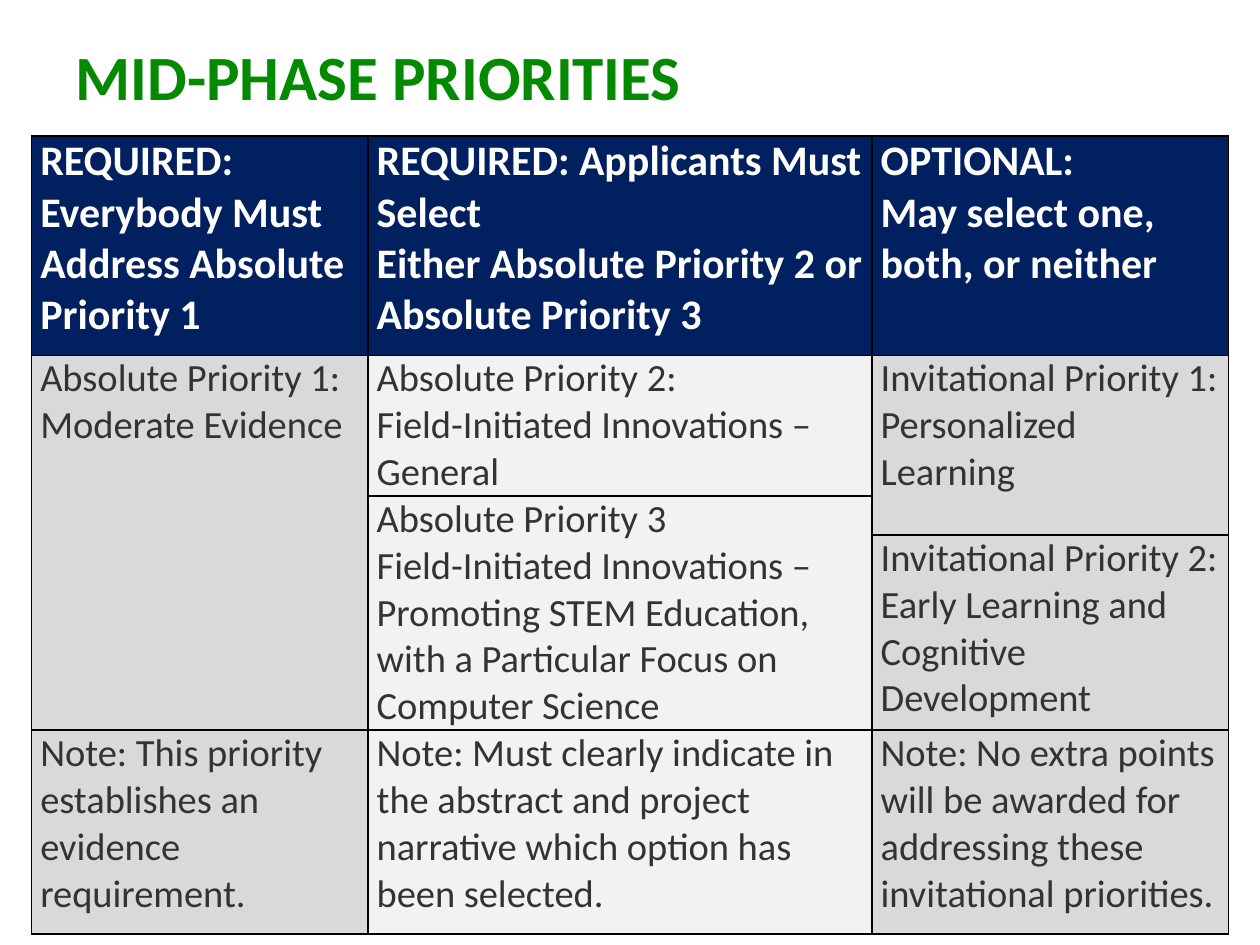
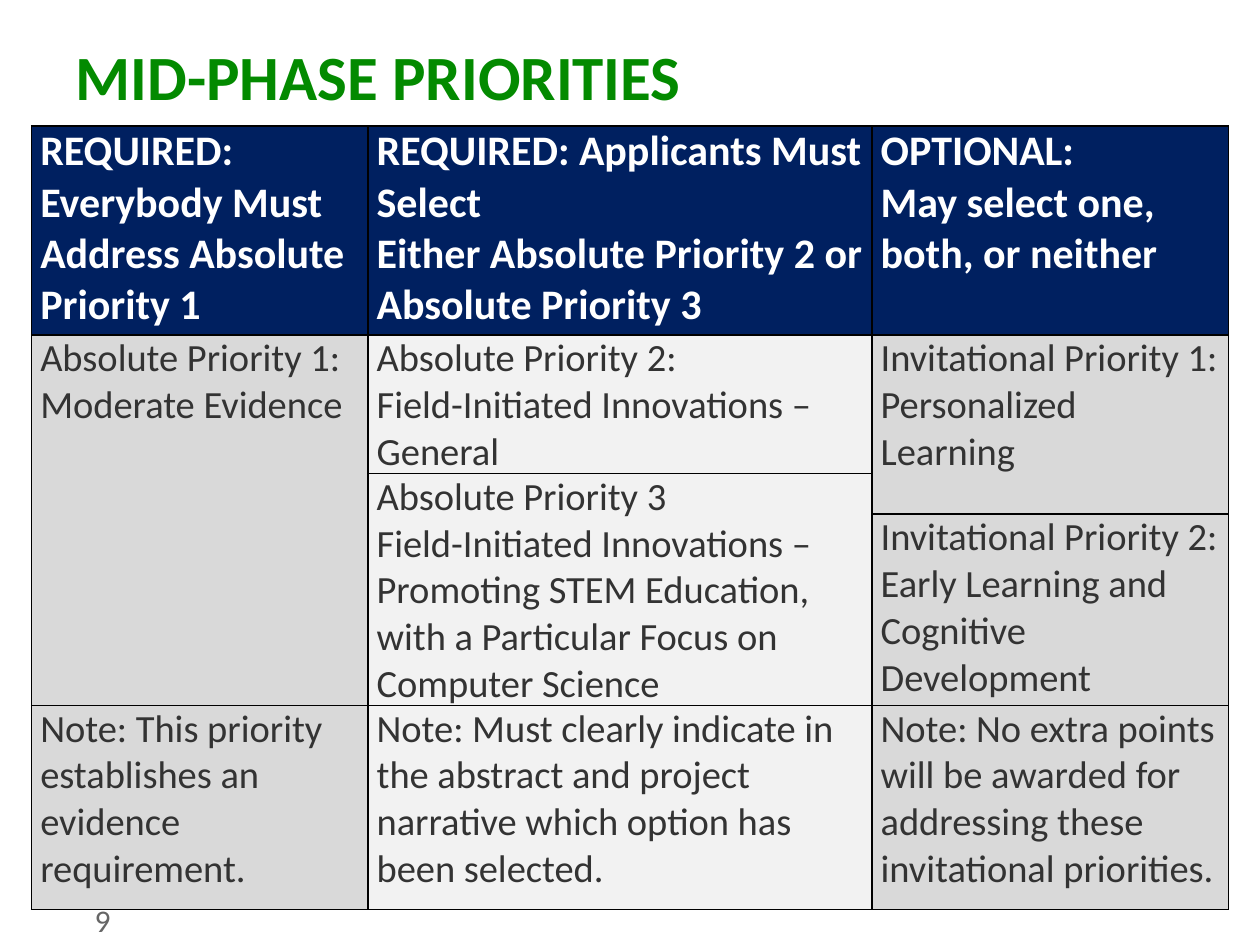
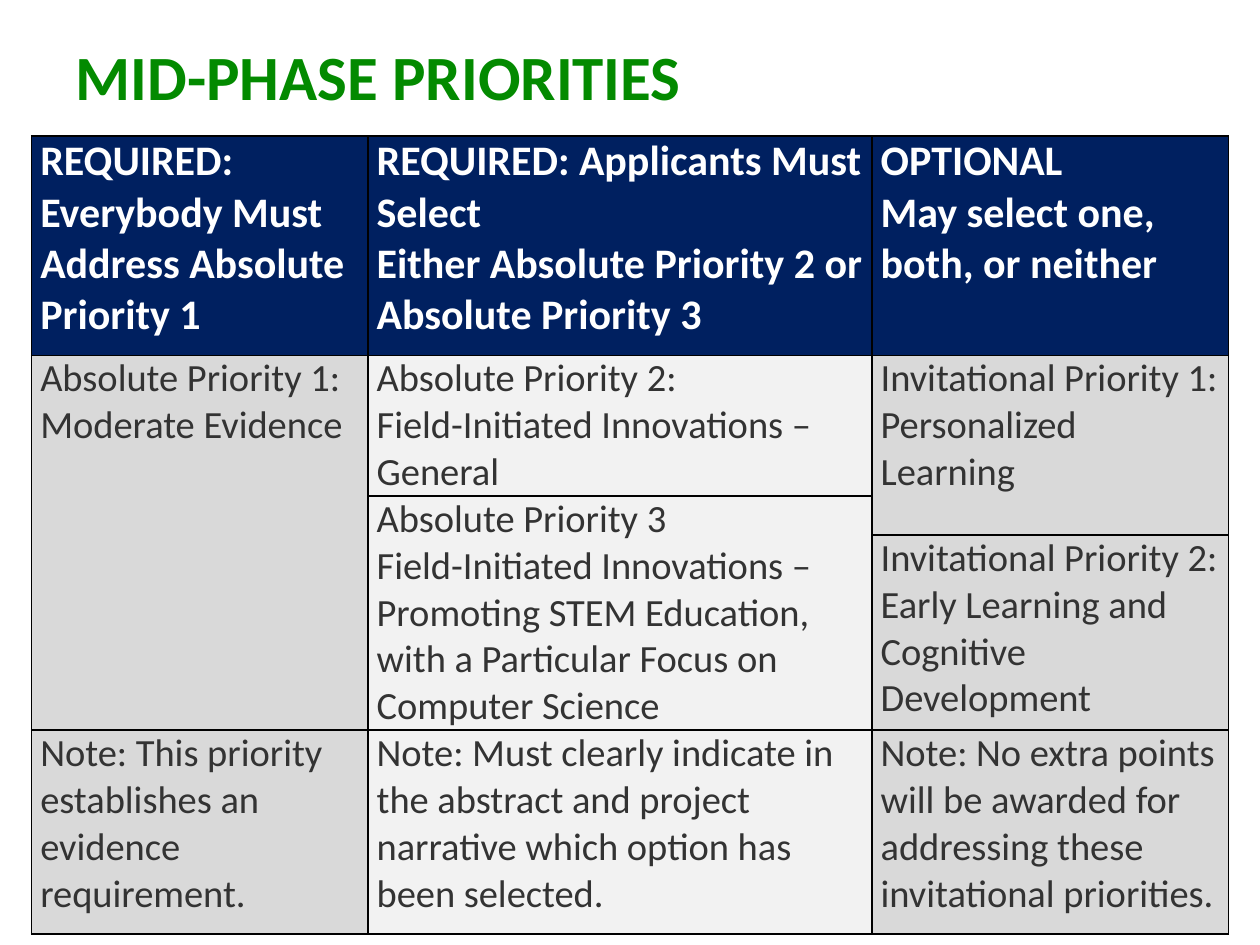
"""Builds three slides that set out the mid-phase priorities in a table."""
import pptx
import pptx.dml.color
import pptx.enum.text
import pptx.oxml
import pptx.oxml.ns
import pptx.util
from pptx.util import Inches

GREEN = pptx.dml.color.RGBColor(0x03, 0x8A, 0x00)
NAVY = pptx.dml.color.RGBColor(0x00, 0x20, 0x60)
WHITE = pptx.dml.color.RGBColor(0xFF, 0xFF, 0xFF)
DARK_GREY = pptx.dml.color.RGBColor(0x33, 0x33, 0x33)
MID_GREY = pptx.dml.color.RGBColor(0x66, 0x66, 0x66)
LIGHT_GREY = pptx.dml.color.RGBColor(0xD9, 0xD9, 0xD9)
PALE_GREY = pptx.dml.color.RGBColor(0xF2, 0xF2, 0xF2)
BLACK = pptx.dml.color.RGBColor(0, 0, 0)

COLUMN_WIDTHS = (2.67, 4, 2.83)
COLUMN_FILLS = (LIGHT_GREY, PALE_GREY, LIGHT_GREY)
MERGES = (((1, 0), (3, 0)), ((1, 2), (2, 2)), ((2, 1), (3, 1)))
BODY = {
    (1, 0): ["Absolute Priority 1:", "Moderate Evidence"],
    (1, 1): ["Absolute Priority 2:", "Field-Initiated Innovations – General"],
    (1, 2): ["Invitational Priority 1:", "Personalized Learning"],
    (2, 1): ["Absolute Priority 3",
             "Field-Initiated Innovations – Promoting STEM Education, "
             "with a Particular Focus on Computer Science"],
    (3, 2): ["Invitational Priority 2: Early Learning and Cognitive Development"],
    (4, 0): ["Note: This priority establishes an evidence requirement."],
    (4, 1): ["Note: Must clearly indicate in the abstract and project "
             "narrative which option has been selected."],
    (4, 2): ["Note: No extra points will be awarded for addressing these "
             "invitational priorities."],
}


class Deck:
    """Holds the shared style and the current slide."""

    def __init__(self):
        self.presentation = pptx.Presentation()
        self.presentation.slide_width = Inches(10)
        self.presentation.slide_height = Inches(7.5)
        self.slide = None

    def fill_text(self, text_frame, lines, size, color, bold=False):
        """Fill a text frame with one left-aligned paragraph a line."""
        text_frame.text = "\n".join(lines)
        text_frame.word_wrap = True
        for paragraph in text_frame.paragraphs:
            paragraph.alignment = pptx.enum.text.PP_ALIGN.LEFT
            paragraph.font.name = "Calibri"
            paragraph.font.size = pptx.util.Pt(size)
            paragraph.font.bold = bold
            paragraph.font.color.rgb = color

    def add_slide(self, title):
        """Start a slide with its title."""
        self.slide = self.presentation.slides.add_slide(
            self.presentation.slide_layouts.get_by_name("Title Only"))
        shape = self.slide.shapes.title
        shape.left, shape.top = Inches(0.5), Inches(0.25)
        shape.width, shape.height = Inches(9), Inches(0.62)
        self.fill_text(shape.text_frame, [title], 36, GREEN, bold=True)
        shape.text_frame.auto_size = pptx.enum.text.MSO_AUTO_SIZE.NONE
        shape.text_frame.vertical_anchor = pptx.enum.text.MSO_ANCHOR.TOP

    def add_page_number(self, number):
        """Put the page number at the lower left."""
        shape = self.slide.shapes.add_textbox(
            Inches(0.75), Inches(7.1), Inches(0.58), Inches(0.4))
        shape.text_frame.margin_left = shape.text_frame.margin_right = 0
        self.fill_text(shape.text_frame, [str(number)], 18, MID_GREY)

    def add_borders(self, cell):
        """Draw a thin black line on each side of a cell."""
        properties = cell._tc.get_or_add_tcPr()
        for side in "LRTB":
            properties.append(pptx.oxml.parse_xml(
                f'<a:ln{side} {pptx.oxml.ns.nsdecls("a")} w="{pptx.util.Pt(1)}">'
                f'<a:solidFill><a:srgbClr val="{BLACK}"/></a:solidFill></a:ln{side}>'))

    def add_priorities(self, top, height, row_heights, optional_heading):
        """Add the table of required and optional priorities."""
        shape = self.slide.shapes.add_table(
            len(row_heights), len(COLUMN_WIDTHS),
            Inches(0.25), Inches(top), Inches(9.5), Inches(height))
        table = shape.table
        table.horz_banding = False
        for column, width in zip(table.columns, COLUMN_WIDTHS):
            column.width = Inches(width)
        for row, row_height in zip(table.rows, row_heights):
            row.height = Inches(row_height)
        shape.height = Inches(height)
        headings = (
            ["REQUIRED: Everybody Must Address Absolute Priority 1"],
            ["REQUIRED: Applicants Must Select",
             "Either Absolute Priority 2 or Absolute Priority 3"],
            [optional_heading, "May select one, both, or neither"],
        )
        texts = BODY | {(0, column): lines for column, lines in enumerate(headings)}
        for row in range(len(row_heights)):
            for column, fill in enumerate(COLUMN_FILLS):
                cell = table.cell(row, column)
                is_heading = row == 0
                cell.margin_left = cell.margin_right = Inches(0.07)
                cell.margin_top = cell.margin_bottom = 0
                self.add_borders(cell)
                cell.fill.solid()
                cell.fill.fore_color.rgb = NAVY if is_heading else fill
                if (row, column) in texts:
                    self.fill_text(cell.text_frame, texts[row, column],
                                   24 if is_heading else 22,
                                   WHITE if is_heading else DARK_GREY, is_heading)
        for first, last in MERGES:
            table.cell(*first).merge(table.cell(*last))


TITLE = "MID-PHASE PRIORITIES"
TALL_ROWS = (1.74, 0.84, 0.31, 1.15, 1.62)
SHORT_ROWS = (1.66, 0.88, 0.32, 1.52, 1.62)

deck = Deck()

deck.add_slide(TITLE)
deck.add_priorities(1.08, 6.29, TALL_ROWS, "OPTIONAL:")

deck.add_slide(TITLE)
deck.add_page_number(9)
deck.add_priorities(1, 6.22, SHORT_ROWS, "OPTIONAL:")

deck.add_slide(TITLE)
deck.add_priorities(1.08, 6.29, TALL_ROWS, "OPTIONAL")

deck.presentation.save("out.pptx")
